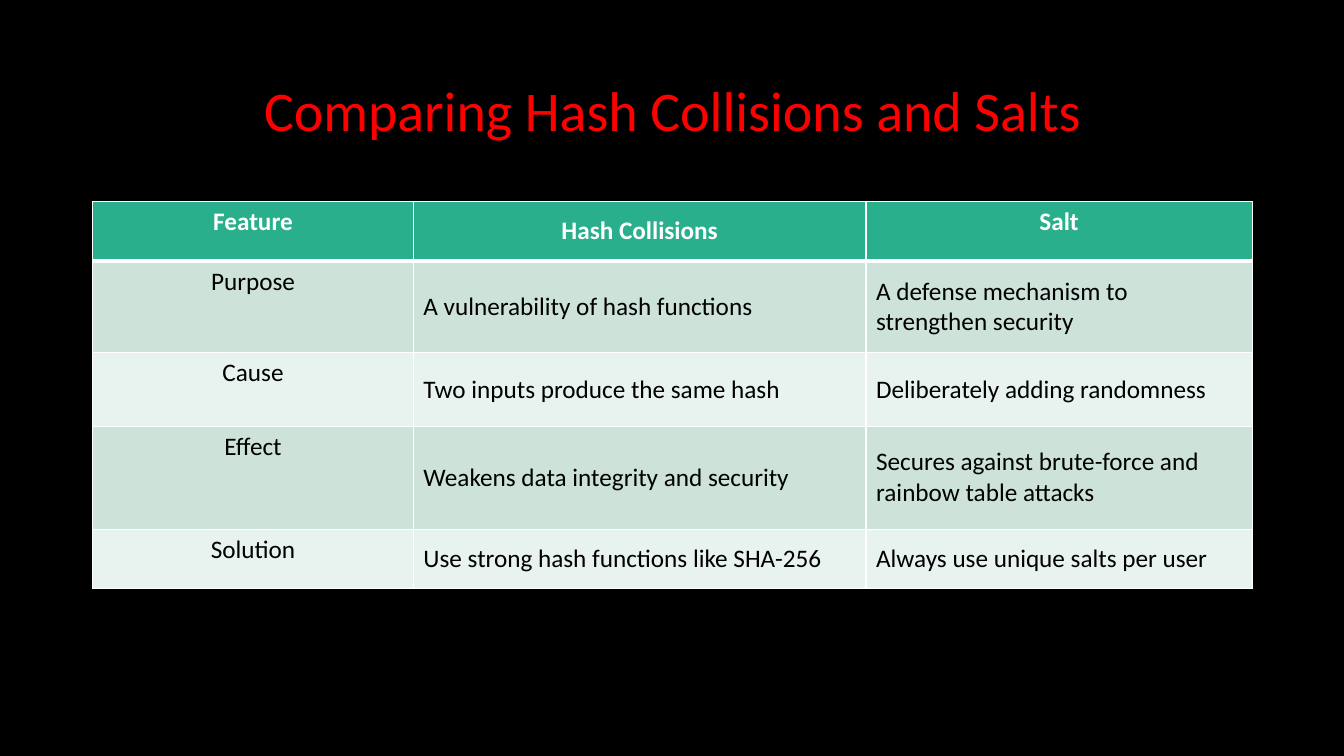
"""Build a slide that compares hash collisions and salts in a table."""
from lxml.etree import SubElement
from pptx import Presentation
from pptx.dml.color import RGBColor
from pptx.enum.text import MSO_ANCHOR as Anchor, PP_ALIGN as Align
from pptx.oxml.ns import qn
from pptx.util import Inches, Pt

BLACK = RGBColor(0x00, 0x00, 0x00)
WHITE = RGBColor(0xFF, 0xFF, 0xFF)
RED = RGBColor(0xFF, 0x00, 0x00)
GREEN = RGBColor(0x29, 0xAF, 0x8C)
BAND_DARK = RGBColor(0xCD, 0xE3, 0xDA)
BAND_LIGHT = RGBColor(0xE8, 0xF2, 0xEE)

FONT = "Calibri"
COLUMN_WIDTHS = [3.18, 4.49, 3.83]
ROW_HEIGHTS = [0.59, 0.91, 0.73, 1.02, 0.59]
ROWS = [
    ["Feature", "Hash Collisions", "Salt"],
    ["Purpose", "A vulnerability of hash functions", "A defense mechanism to strengthen security"],
    ["Cause", "Two inputs produce the same hash", "Deliberately adding randomness"],
    ["Effect", "Weakens data integrity and security", "Secures against brute-force and rainbow table attacks"],
    ["Solution", "Use strong hash functions like SHA-256", "Always use unique salts per user"],
]


def write_text(frame, text, size=18, color=BLACK, bold=False, align=Align.LEFT, spacing=1.0):
    """Write one formatted paragraph into a text frame."""
    frame.word_wrap = True
    paragraph = frame.paragraphs[0]
    paragraph.alignment = align
    paragraph.line_spacing = spacing
    run = paragraph.add_run()
    run.text = text
    run.font.name = FONT
    run.font.size = Pt(size)
    run.font.bold = bold
    run.font.color.rgb = color


def add_title(slide, text):
    """Add the centred slide title."""
    box = slide.shapes.add_textbox(Inches(0.92), Inches(0.4), Inches(11.5), Inches(1.45))
    write_text(box.text_frame, text, size=40, color=RED, align=Align.CENTER, spacing=0.9)
    box.text_frame.vertical_anchor = Anchor.MIDDLE


def set_borders(cell, **widths):
    """Draw white cell borders with the given widths in points."""
    properties = cell._tc.get_or_add_tcPr()
    for side in "LRTB":
        line = SubElement(properties, qn(f"a:ln{side}"), w=str(Pt(widths.get(side, 1))))
        fill = SubElement(line, qn("a:solidFill"))
        SubElement(fill, qn("a:srgbClr"), val=str(WHITE))


def fill_cell(cell, text, row, column):
    """Format one cell by its place in the table."""
    header = row == 0
    centred = header or column == 0
    top = column == 0 or (header and column == 2)
    write_text(cell.text_frame, text, color=WHITE if header else BLACK, bold=header,
               align=Align.CENTER if centred else Align.LEFT)
    cell.vertical_anchor = Anchor.TOP if top else Anchor.MIDDLE
    set_borders(cell, B=3 if header else 1, T=3 if row == 1 else 1)
    cell.fill.solid()
    band = BAND_DARK if row % 2 else BAND_LIGHT
    cell.fill.fore_color.rgb = GREEN if header else band


def add_comparison_table(slide):
    """Add the comparison table."""
    table = slide.shapes.add_table(
        len(ROWS), len(COLUMN_WIDTHS), Inches(0.92), Inches(2),
        Inches(sum(COLUMN_WIDTHS)), Inches(sum(ROW_HEIGHTS))).table
    for column, width in zip(table.columns, COLUMN_WIDTHS):
        column.width = Inches(width)
    for row, height in zip(table.rows, ROW_HEIGHTS):
        row.height = Inches(height)
    for row_index, texts in enumerate(ROWS):
        for column_index, text in enumerate(texts):
            fill_cell(table.cell(row_index, column_index), text, row_index, column_index)


def main():
    """Build and save the presentation."""
    presentation = Presentation()
    presentation.slide_width = Inches(13.33)
    presentation.slide_height = Inches(7.5)
    slide = presentation.slides.add_slide(presentation.slide_layouts[6])
    slide.background.fill.solid()
    slide.background.fill.fore_color.rgb = BLACK
    add_title(slide, "Comparing Hash Collisions and Salts")
    add_comparison_table(slide)
    presentation.save("out.pptx")


if __name__ == "__main__":
    main()
